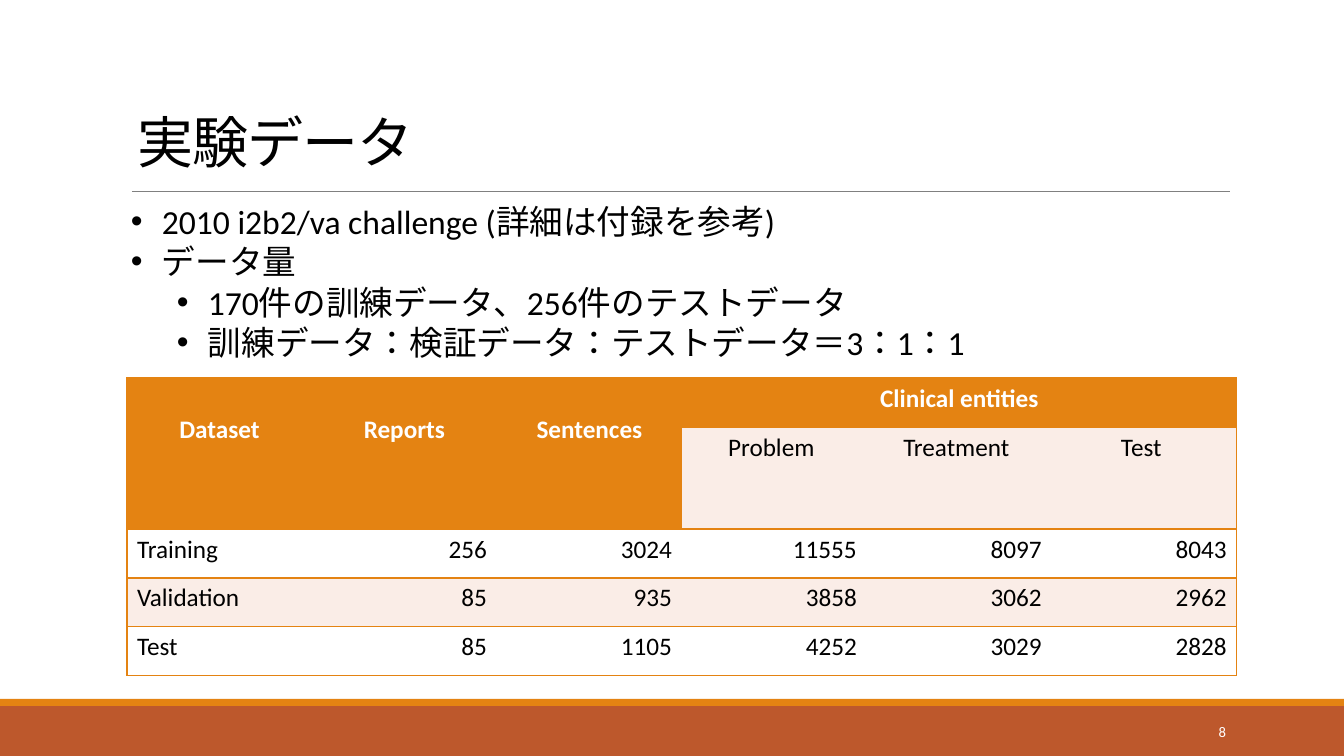
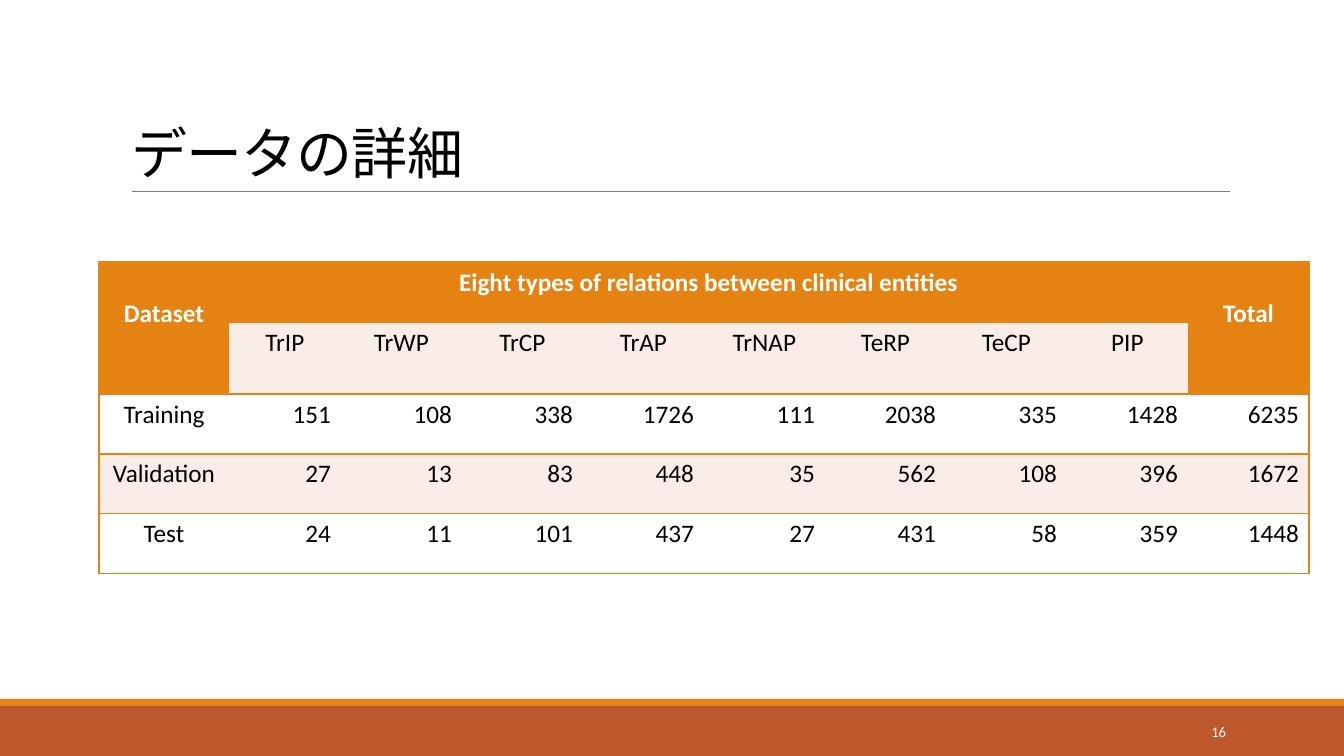
from dataclasses import dataclass

from lxml import etree
from pptx import Presentation
from pptx import util as u
from pptx.dml.color import RGBColor
from pptx.enum import lang, shapes, text
from pptx.oxml import ns

PX = 12192000 / 1344  # EMU in one px
SLIDE_W, SLIDE_H = 1344, 756
NO_STYLE = "{2D5ABB26-0587-4C30-8999-92F81FD0307C}"
LEFT, CENTER, RIGHT = text.PP_ALIGN.LEFT, text.PP_ALIGN.CENTER, text.PP_ALIGN.RIGHT


@dataclass(frozen=True)
class Theme:
    font: str = "Calibri"
    ink: str = "000000"
    paper: str = "FFFFFF"
    accent: str = "E48312"
    band: str = "BD582C"
    rule: str = "808080"
    tint: str = "FAEDE7"
    title: float = 40
    body: float = 24
    cell: float = 18
    number: float = 10.5


T = Theme()


def px(n):
    return u.Emu(round(n * PX))


def rgb(color):
    return RGBColor.from_string(color)


def sub(parent, tag, **attrs):
    return etree.SubElement(parent, ns.qn(tag), attrs)


def write(p, words, size=T.body, color=T.ink, bold=False, align=LEFT, spc=None):
    """Put one formatted run in paragraph p."""
    p.alignment = align
    r = p.add_run()
    r.text = words
    f = r.font
    f.name, f.size, f.bold = T.font, u.Pt(size), bold
    f.color.rgb = rgb(color)
    f.language_id = lang.MSO_LANGUAGE_ID.JAPANESE
    if spc is not None:
        r._r.get_or_add_rPr().set("spc", str(spc))


def add_text_box(s, x, y, w, h, anchor=text.MSO_ANCHOR.TOP):
    tf = s.shapes.add_textbox(px(x), px(y), px(w), px(h)).text_frame
    tf.word_wrap = True
    tf.vertical_anchor = anchor
    return tf


def add_band(s, y, h, color):
    sp = s.shapes.add_shape(shapes.MSO_SHAPE.RECTANGLE, 0, px(y), px(SLIDE_W), px(h))
    sp.shadow.inherit = False
    sp.fill.solid()
    sp.fill.fore_color.rgb = rgb(color)
    sp.line.fill.background()
    return sp


def add_title_rule(s, x, y, w):
    line = s.shapes.add_connector(
        shapes.MSO_CONNECTOR.STRAIGHT, px(x), px(y), px(x + w), px(y))
    line.line.color.rgb = rgb(T.rule)
    line.line.width = u.Pt(0.5)
    sub(line._element.spPr, "a:effectLst")
    return line


def move_frame_to_layout(s):
    """Draw the shared bands and rule on s, then hand them to its layout."""
    frame = [add_band(s, 706, 50, T.band), add_band(s, 699, 7, T.accent),
             add_title_rule(s, 132, 191, 1098)]
    for sp in frame:
        s.slide_layout.shapes._spTree.append(sp._element)


def add_titled_slide(prs, title, number, x, y):
    s = prs.slides.add_slide(prs.slide_layouts[5])
    sp = s.shapes.title
    sp.left, sp.top, sp.width, sp.height = px(x), px(y), px(1109), px(160)
    tf = sp.text_frame
    tf.word_wrap = True
    tf.auto_size = text.MSO_AUTO_SIZE.NONE
    tf.vertical_anchor = text.MSO_ANCHOR.BOTTOM
    tf.paragraphs[0].line_spacing = 0.85
    write(tf.paragraphs[0], title, size=T.title, spc=-50)

    tf = add_text_box(s, 1092, 712, 144, 40, text.MSO_ANCHOR.MIDDLE)
    write(tf.paragraphs[0], str(number), size=T.number, color=T.paper, align=RIGHT)
    return s


def add_bullets(s, x, y, w, h, items):
    """items are (level, words) pairs."""
    tf = add_text_box(s, x, y, w, h)
    for i, (level, words) in enumerate(items):
        p = tf.add_paragraph() if i else tf.paragraphs[0]
        write(p, words)
        pPr = p._p.get_or_add_pPr()
        pPr.set("marL", str(px(31 + 46 * level)))
        pPr.set("indent", str(px(-31)))
        sub(pPr, "a:buFont", typeface="Arial")
        sub(pPr, "a:buChar", char="•")


def set_borders(cell, sides):
    tcPr = cell._tc.get_or_add_tcPr()
    for side in "LRTB":
        ln = sub(tcPr, f"a:ln{side}", w=str(u.Pt(1)))
        if side in sides:
            sub(sub(ln, "a:solidFill"), "a:srgbClr", val=T.accent)
        else:
            sub(ln, "a:noFill")


def add_data_table(s, x, y, cols, rows, group, heads, subheads, data,
                   label_align=LEFT, subhead_inset=10):
    """Two header rows: heads span both, and group spans the subheads.

    heads and subheads map a column to its words.
    """
    shape = s.shapes.add_table(
        len(rows), len(cols), px(x), px(y), px(sum(cols)), px(sum(rows)))
    table = shape.table
    table._tbl.tblPr.find(ns.qn("a:tableStyleId")).text = NO_STYLE
    for col, w in zip(table.columns, cols):
        col.width = px(w)
    for row, h in zip(table.rows, rows):
        row.height = px(h)

    last = len(cols) - 1
    for i in range(len(rows)):
        for j in range(len(cols)):
            cell = table.cell(i, j)
            set_borders(cell, "TB" + "L" * (j == 0) + "R" * (j == last))
            is_head = i == 0 or (i == 1 and j in heads)
            cell.fill.solid()
            cell.fill.fore_color.rgb = rgb(
                T.accent if is_head else T.tint if i % 2 else T.paper)

    def put(i, j, words, **fmt):
        cell = table.cell(i, j)
        write(cell.text_frame.paragraphs[0], words, size=T.cell, **fmt)
        return cell

    head = dict(color=T.paper, bold=True, align=CENTER)
    for j, words in heads.items():
        table.cell(0, j).merge(table.cell(1, j))
        put(0, j, words, **head).margin_top = px(36)
    table.cell(0, min(subheads)).merge(table.cell(0, max(subheads)))
    put(0, min(subheads), group, **head)
    for j, words in subheads.items():
        put(1, j, words, align=CENTER).margin_left = px(subhead_inset)
    for i, (label, *values) in enumerate(data, 2):
        put(i, 0, label, align=label_align)
        for j, value in enumerate(values, 1):
            put(i, j, str(value), align=RIGHT)


def build_experiment_slide(prs):
    s = add_titled_slide(prs, "実験データ", 8, 127, 20)
    add_data_table(
        s, 127, 378, [185] * 6, [49, 102, 49, 49, 49],
        group="Clinical entities",
        heads=dict(enumerate(["Dataset", "Reports", "Sentences"])),
        subheads=dict(enumerate(["Problem", "Treatment", "Test"], 3)),
        data=[("Training", 256, 3024, 11555, 8097, 8043),
              ("Validation", 85, 935, 3858, 3062, 2962),
              ("Test", 85, 1105, 4252, 3029, 2828)],
        subhead_inset=4)
    add_bullets(s, 121, 196, 1096, 204, [
        (0, "2010 i2b2/va challenge (詳細は付録を参考)"),
        (0, "データ量"),
        (1, "170件の訓練データ、256件のテストデータ"),
        (1, "訓練データ：検証データ：テストデータ＝3：1：1")])
    return s


def build_detail_slide(prs):
    s = add_titled_slide(prs, "データの詳細", 16, 121, 31)
    relations = ["TrIP", "TrWP", "TrCP", "TrAP", "TrNAP", "TeRP", "TeCP", "PIP"]
    add_data_table(
        s, 99, 262, [130, 112] + [121] * 8, [60, 72, 60, 60, 60],
        group="Eight types of relations between clinical entities",
        heads={0: "Dataset", 9: "Total"},
        subheads=dict(enumerate(relations, 1)),
        data=[("Training", 151, 108, 338, 1726, 111, 2038, 335, 1428, 6235),
              ("Validation", 27, 13, 83, 448, 35, 562, 108, 396, 1672),
              ("Test", 24, 11, 101, 437, 27, 431, 58, 359, 1448)],
        label_align=CENTER)


def main():
    prs = Presentation()
    prs.slide_width, prs.slide_height = px(SLIDE_W), px(SLIDE_H)
    move_frame_to_layout(build_experiment_slide(prs))
    build_detail_slide(prs)
    prs.save("out.pptx")


if __name__ == "__main__":
    main()
